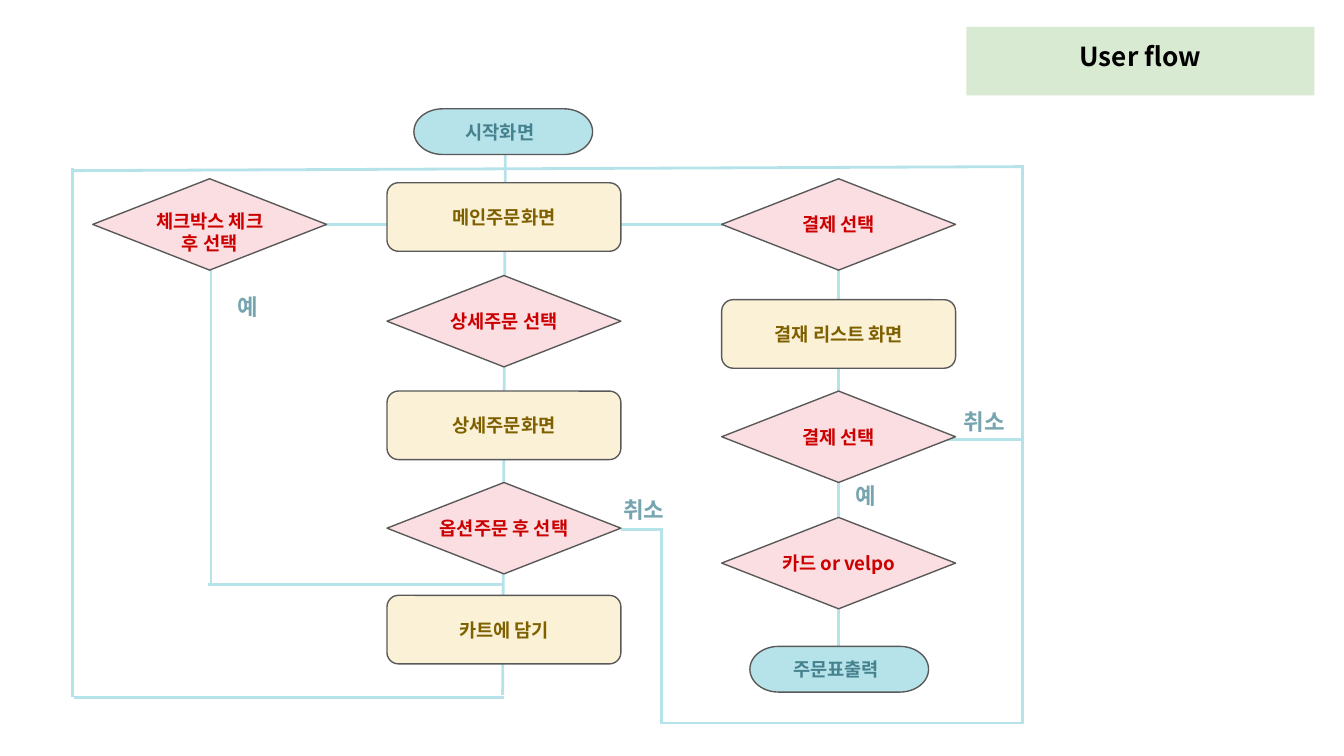
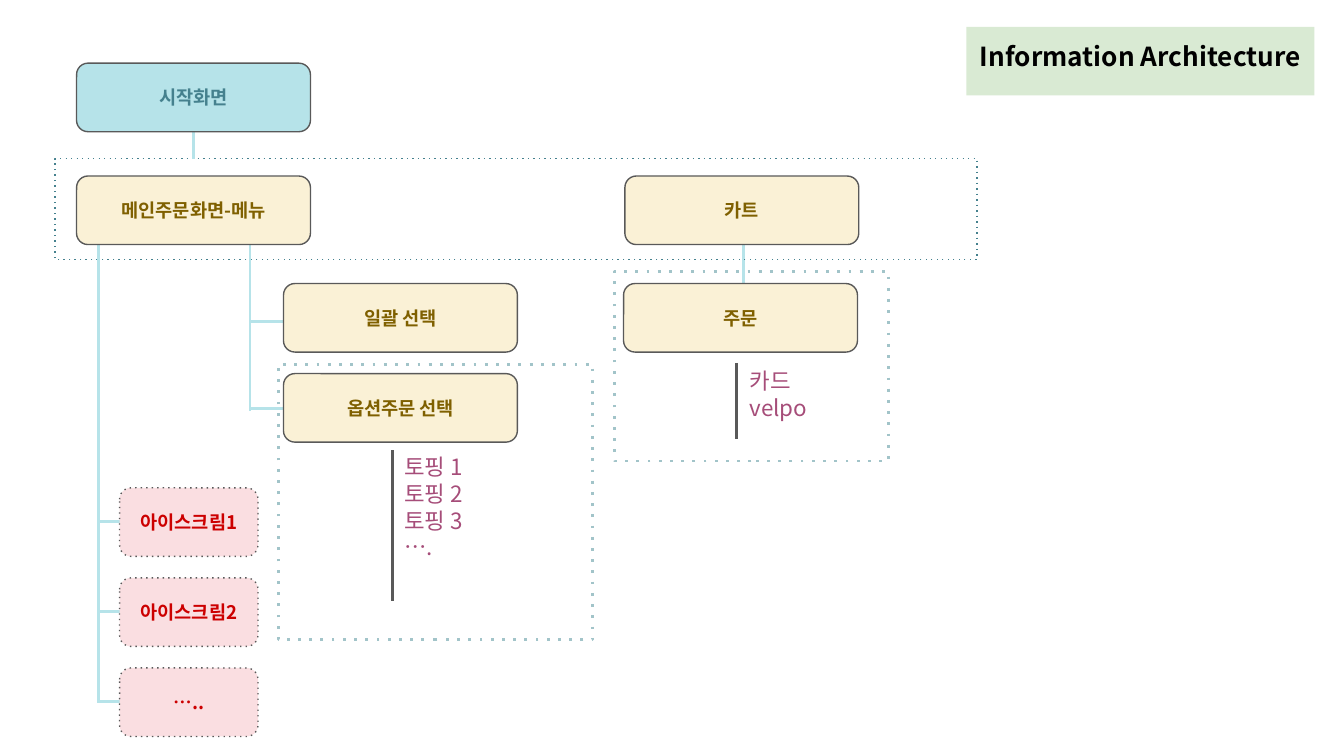
import pptx
import pptx.dml.color
import pptx.enum.shapes
import pptx.enum.text
import pptx.oxml.ns
import pptx.util
from lxml import etree

Inches = pptx.util.Inches
Pt = pptx.util.Pt
RGBColor = pptx.dml.color.RGBColor
SHAPES = pptx.enum.shapes.MSO_SHAPE
ALIGN = pptx.enum.text.PP_ALIGN
ANCHOR = pptx.enum.text.MSO_ANCHOR
qn = pptx.oxml.ns.qn

FONT = "Noto Sans CJK KR"
BLACK = RGBColor(0x00, 0x00, 0x00)
GREEN = RGBColor(0xD9, 0xEA, 0xD3)
AQUA = RGBColor(0xB6, 0xE3, 0xE9)
TEAL = RGBColor(0x45, 0x81, 0x8E)
SOFT_TEAL = RGBColor(0x76, 0xA5, 0xAF)
PALE_TEAL = RGBColor(0xA2, 0xC4, 0xC9)
CREAM = RGBColor(0xFA, 0xF1, 0xD6)
BROWN = RGBColor(0x7F, 0x60, 0x00)
PINK = RGBColor(0xFA, 0xDE, 0xE1)
RED = RGBColor(0xCC, 0x00, 0x00)
PURPLE = RGBColor(0xA6, 0x4D, 0x79)
GRAY = RGBColor(0x59, 0x59, 0x59)

BOX_WIDTH, BOX_HEIGHT = 1.74, 0.51
LEFT, CENTER, RIGHT = 0.69, 2.88, 5.37  # flow columns

# kind of node: preset shape, width, height, fill, text colour
NODES = {
    "screen": (SHAPES.ROUNDED_RECTANGLE, BOX_WIDTH, BOX_HEIGHT, CREAM, BROWN),
    "start": (SHAPES.ROUNDED_RECTANGLE, BOX_WIDTH, BOX_HEIGHT, AQUA, TEAL),
    "item": (SHAPES.ROUNDED_RECTANGLE, 1.03, BOX_HEIGHT, PINK, RED),
    "choice": (SHAPES.DIAMOND, BOX_WIDTH, 0.68, PINK, RED),
    "terminal": (SHAPES.FLOWCHART_TERMINATOR, 1.33, 0.34, AQUA, TEAL),
}


def set_attributes(target, values):
    for name, value in values.items():
        setattr(target, name, value)


def write_text(shape, lines, size, color, bold, align, anchor, inset, wrap):
    frame = shape.text_frame
    frame.text = "\n".join(lines)
    margins = {f"margin_{side}": Inches(inset) for side in ("left", "top", "right", "bottom")}
    set_attributes(frame, {
        "auto_size": pptx.enum.text.MSO_AUTO_SIZE.NONE,
        "word_wrap": wrap,
        "vertical_anchor": anchor,
        **margins,
    })
    for paragraph in frame.paragraphs:
        paragraph.alignment = align
        for run in paragraph.runs:
            set_attributes(run.font, {"name": FONT, "size": Pt(size), "bold": bold})
            run.font.color.rgb = color
    for properties in shape.element.iter(qn("a:rPr")):
        etree.SubElement(properties, qn("a:ea")).set("typeface", FONT)


def set_line(shape, color, width, dotted=False):
    shape.line.color.rgb = color
    shape.line.width = Pt(width)
    if dotted:
        outline = shape.element.spPr.find(qn("a:ln"))
        etree.SubElement(outline, qn("a:prstDash")).set("val", "dot")


def add_titled_slide(presentation, title):
    slide = presentation.slides.add_slide(presentation.slide_layouts[5])
    shape = slide.shapes.title
    set_attributes(shape, {
        "left": Inches(7.19), "top": Inches(0.2),
        "width": Inches(2.59), "height": Inches(BOX_HEIGHT),
    })
    shape.fill.solid()
    shape.fill.fore_color.rgb = GREEN
    write_text(shape, [title], 14, BLACK, True, ALIGN.CENTER, ANCHOR.TOP, 0.1, True)
    return slide


def add_line(slide, x1, y1, x2, y2, color=AQUA):
    line = slide.shapes.add_connector(
        pptx.enum.shapes.MSO_CONNECTOR.STRAIGHT,
        Inches(x1), Inches(y1), Inches(x2), Inches(y2))
    set_line(line, color, 1.5)
    etree.SubElement(line.element.spPr, qn("a:effectLst"))


def add_node(slide, kind, left, top, *lines):
    preset, width, height, fill, color = NODES[kind]
    shape = slide.shapes.add_shape(
        preset, Inches(left), Inches(top), Inches(width), Inches(height))
    shape.shadow.inherit = False
    shape.fill.solid()
    shape.fill.fore_color.rgb = fill
    set_line(shape, GRAY, 0.75, dotted=kind == "item")
    write_text(shape, lines, 10, color, True, ALIGN.CENTER, ANCHOR.MIDDLE, 0, False)
    if kind == "terminal":
        shape.text_frame.margin_right = Inches(0.05)
    if len(lines) > 1:
        shape.text_frame.margin_top = Inches(0.11)


def add_frame(slide, left, top, width, height, color, line_width):
    """Add a dotted, unfilled rectangle around a group of nodes."""
    shape = slide.shapes.add_shape(
        SHAPES.RECTANGLE, Inches(left), Inches(top), Inches(width), Inches(height))
    shape.shadow.inherit = False
    shape.fill.background()
    set_line(shape, color, line_width, dotted=True)


def add_text(slide, left, top, width, height, lines, color, bold):
    box = slide.shapes.add_textbox(
        Inches(left), Inches(top), Inches(width), Inches(height))
    write_text(box, lines, 12, color, bold, ALIGN.LEFT, ANCHOR.TOP, 0.1, True)


def build_user_flow(presentation):
    slide = add_titled_slide(presentation, "User flow")
    for ends in (
        # column trunks and links between columns
        (6.24, 1.76, 6.24, 4.85), (3.76, 1.15, 3.74, 5.17),
        (1.57, 1.93, 1.57, 4.35), (1.55, 4.35, 3.74, 4.35),
        (2.33, 1.67, 5.48, 1.67),
        # return loop from the cart
        (0.55, 1.27, 7.6, 1.24), (0.54, 1.25, 0.54, 5.19), (0.55, 5.19, 3.75, 5.19),
        # return loop from the cancelled choices
        (7.61, 3.27, 6.64, 3.27), (7.61, 1.23, 7.61, 5.38), (7.62, 5.38, 4.92, 5.38),
        (4.92, 5.39, 4.92, 3.93), (4.92, 3.94, 4.62, 3.94),
    ):
        add_line(slide, *ends)

    for node in (
        ("choice", LEFT, 1.33, "체크박스 체크", "후 선택"),
        ("terminal", 3.08, 0.81, "시작화면"),
        ("screen", CENTER, 1.36, "메인주문화면"),
        ("choice", CENTER, 2.05, "상세주문 선택"),
        ("screen", CENTER, 2.91, "상세주문화면"),
        ("choice", CENTER, 3.59, "옵션주문 후 선택"),
        ("screen", CENTER, 4.43, "카트에 담기"),
        ("choice", RIGHT, 1.33, "결제 선택"),
        ("screen", RIGHT, 2.23, "결재 리스트 화면"),
        ("choice", RIGHT, 2.91, "결제 선택"),
        ("choice", RIGHT, 3.85, "카드 or velpo"),
        ("terminal", 5.58, 4.81, "주문표출력"),
    ):
        add_node(slide, *node)

    for left, top, width, answer in (
        (7.07, 2.94, 0.59, "취소"), (4.54, 3.59, 0.59, "취소"),
        (1.67, 2.08, 0.45, "예"), (6.27, 3.49, 0.45, "예"),
    ):
        add_text(slide, left, top, width, 0.39, [answer], SOFT_TEAL, True)


def build_information_architecture(presentation):
    slide = add_titled_slide(presentation, "Information Architecture")
    item_tops = [3.63 + 0.67 * index for index in range(3)]

    add_line(slide, 5.53, 1.79, 5.53, 2.22)
    add_frame(slide, 0.41, 1.18, 6.86, 0.75, TEAL, 0.75)
    add_line(slide, 1.86, 1.79, 1.86, 3.06)
    for y in (2.39, 3.04):
        add_line(slide, 1.86, y, 2.39, y)
    add_frame(slide, 2.07, 2.71, 2.34, 2.05, PALE_TEAL, 1.5)
    add_line(slide, 1.44, 0.72, 1.44, 1.18)
    add_line(slide, 0.73, 1.77, 0.73, 5.23)

    for top, label in zip(item_tops, ("아이스크림1", "아이스크림2", "…..")):
        add_line(slide, 1.13, top + 0.25, 0.73, top + 0.25)
        add_node(slide, "item", 0.89, top, label)

    for node in (
        ("start", 0.57, 0.47, "시작화면"),
        ("screen", 0.57, 1.31, "메인주문화면-메뉴"),
        ("screen", 2.11, 2.11, "일괄 선택"),
        ("screen", 2.11, 2.78, "옵션주문 선택"),
        ("screen", 4.65, 1.31, "카트"),
        ("screen", 4.64, 2.11, "주문"),
    ):
        add_node(slide, *node)

    add_text(slide, 2.91, 3.27, 1.68, 0.8, ["토핑 1", "토핑 2", "토핑 3", "…."], PURPLE, False)
    add_line(slide, 2.92, 3.35, 2.92, 4.47, GRAY)
    add_text(slide, 5.48, 2.63, 1.68, 0.8, ["카드", "velpo"], PURPLE, False)
    add_line(slide, 5.48, 2.7, 5.48, 3.27, GRAY)
    add_frame(slide, 4.57, 2.02, 2.04, 1.41, PALE_TEAL, 1.5)


def main():
    presentation = pptx.Presentation()
    presentation.slide_width = Inches(10)
    presentation.slide_height = Inches(10 * 9 / 16)
    build_user_flow(presentation)
    build_information_architecture(presentation)
    presentation.save("out.pptx")


if __name__ == "__main__":
    main()
